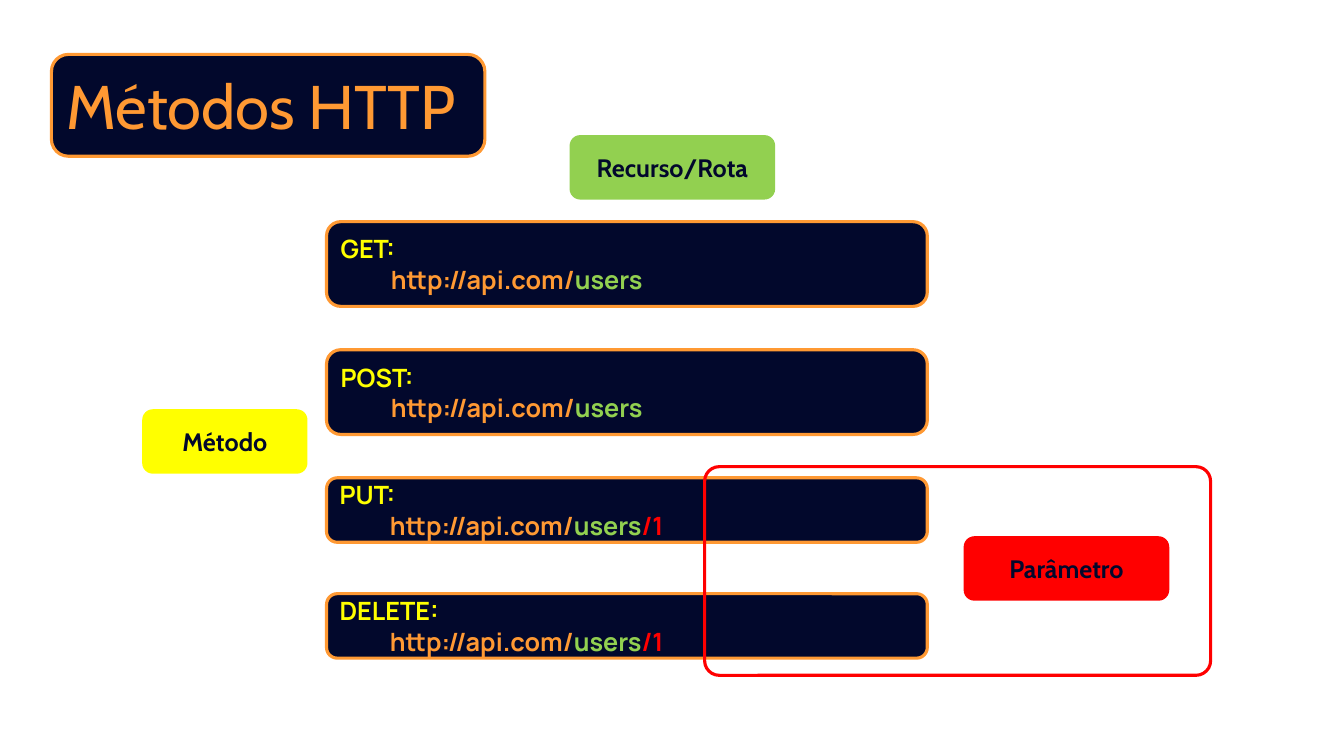
"""Build a slide that shows the parts of HTTP requests by method."""
from pptx import Presentation
from pptx.dml.color import RGBColor as Rgb
from pptx.enum.shapes import MSO_SHAPE as Kind
from pptx.enum.text import MSO_ANCHOR as Anchor, PP_ALIGN as Align
from pptx.util import Inches, Pt

HUES = {
    "navy": "02082C",
    "orange": "FF9933",
    "yellow": "FFFF00",
    "green": "92D050",
    "red": "FF0000",
}
WIDE, HIGH = Inches(13.333), Inches(7.5)
TALL, SHORT = 11.2, 8.53


def tint(name):
    return Rgb.from_string(HUES[name])


def add_box(slide, spot, fill=None, line=None):
    left, top, width, height = spot
    box = slide.shapes.add_shape(
        Kind.ROUNDED_RECTANGLE,
        round(WIDE * left / 100), round(HIGH * top / 100),
        round(WIDE * width / 100), round(HIGH * height / 100))
    box.shadow.inherit = False
    if fill:
        box.fill.solid()
        box.fill.fore_color.rgb = tint(fill)
    else:
        box.fill.background()
    if line:
        box.line.color.rgb = tint(line)
        box.line.width = Pt(2.25)
    else:
        box.line.fill.background()
    return box


def add_text(box, lines, font, size=18, bold=True, align=Align.LEFT):
    frame = box.text_frame
    frame.word_wrap = True
    frame.vertical_anchor = Anchor.MIDDLE
    for rank, runs in enumerate(lines):
        para = frame.paragraphs[0] if rank == 0 else frame.add_paragraph()
        para.alignment = align
        for text, hue in runs:
            run = para.add_run()
            run.text = text
            run.font.name = font
            run.font.size = Pt(size)
            run.font.bold = bold
            run.font.color.rgb = tint(hue)


def add_title(slide, text):
    box = add_box(slide, (3.83, 7.2, 32.25, 13.47), "navy", "orange")
    add_text(box, [[(text, "orange")]], "Cabin", 44, False)


def add_call(slide, verb, top, height, param):
    box = add_box(slide, (24.3, top, 44.7, height), "navy", "orange")
    route = [("\thttp://api.com/", "orange"), ("users", "green")]
    if param:
        route.append((param, "red"))
    add_text(box, [[(verb + ":", "yellow")], route], "Manrope")


def add_label(slide, text, left, top, width, hue):
    box = add_box(slide, (left, top, width, SHORT), hue)
    add_text(box, [[(text, "navy")]], "Cabin", align=Align.CENTER)


def main():
    deck = Presentation()
    deck.slide_width, deck.slide_height = WIDE, HIGH
    slide = deck.slides.add_slide(deck.slide_layouts[6])
    add_title(slide, "Métodos HTTP")
    for call in (
        ("GET", 29.33, TALL, ""),
        ("POST", 46.27, TALL, ""),
        ("PUT", 63.2, SHORT, "/1"),
        ("DELETE", 78.53, SHORT, "/1"),
    ):
        add_call(slide, *call)
    add_label(slide, "Parâmetro", 71.7, 70.93, 15.3, "red")
    frame = add_box(slide, (52.43, 61.73, 37.65, 27.6), line="red")
    frame.adjustments[0] = 0.07
    add_label(slide, "Método", 10.58, 54.13, 12.3, "yellow")
    add_label(slide, "Recurso/Rota", 42.38, 17.87, 15.3, "green")
    deck.save("out.pptx")


if __name__ == "__main__":
    main()
